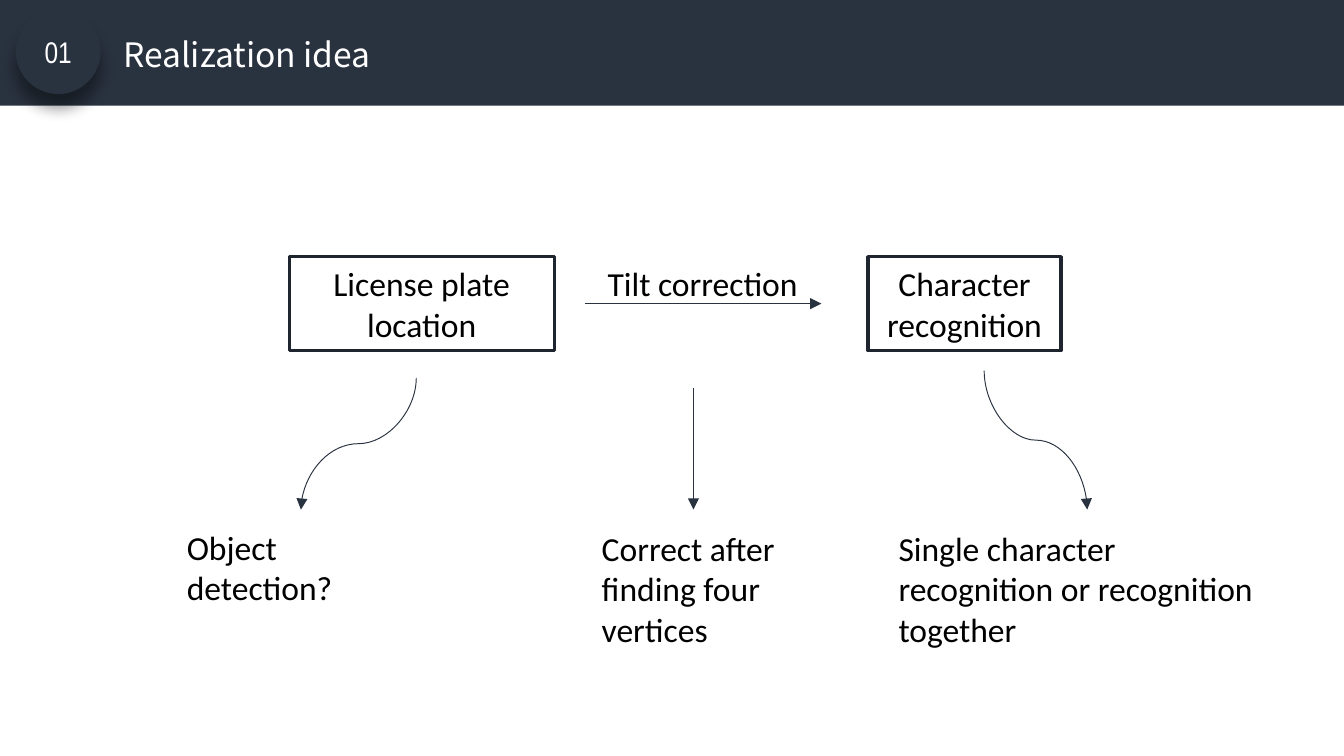
from pptx import Presentation
from pptx.dml.color import RGBColor
from pptx.enum.shapes import MSO_CONNECTOR as Connector, MSO_SHAPE as Shape
from pptx.enum.text import MSO_ANCHOR as Anchor, MSO_AUTO_SIZE as AutoSize, PP_ALIGN as Align
from pptx.oxml.ns import qn
from pptx.oxml.xmlchemy import OxmlElement
from pptx.util import Pt

NAVY = RGBColor(0x29, 0x32, 0x3F)
OUTLINE = RGBColor(0x1E, 0x25, 0x2F)
WHITE = RGBColor(0xFF, 0xFF, 0xFF)
BLACK = RGBColor(0x00, 0x00, 0x00)

BODY = {"name": "Calibri", "size": Pt(18)}
TITLE = {"name": "Noto Sans CJK SC", "size": Pt(18)}
NUMBER = {"name": "Arial Narrow", "size": Pt(16)}

STEP_TOP, STEP_HEIGHT = 137.5, 50.4
NOTE_TOP, ARROW_END = 279.3, 273


def add_element(parent, tag, **attributes):
    """Append an XML child with the given attributes and return it."""
    element = OxmlElement(tag)
    for name, value in attributes.items():
        element.set(name, str(value))
    parent.append(element)
    return element


def write_text(shape, text, font_format, color, align=Align.LEFT):
    """Write one formatted paragraph into a shape."""
    frame = shape.text_frame
    frame.word_wrap = True
    paragraph = frame.paragraphs[0]
    paragraph.text = text
    paragraph.alignment = align
    for name, value in font_format.items():
        setattr(paragraph.font, name, value)
    paragraph.font.color.rgb = color


def add_label(slide, text, left, top, width, height=28.8, font_format=BODY, color=BLACK):
    """Add a text box that grows with its wording."""
    box = slide.shapes.add_textbox(Pt(left), Pt(top), Pt(width), Pt(height))
    write_text(box, text, font_format, color)
    box.text_frame.auto_size = AutoSize.SHAPE_TO_FIT_TEXT


def add_filled(slide, kind, left, top, width, height):
    """Add a navy shape without outline or shadow."""
    shape = slide.shapes.add_shape(kind, Pt(left), Pt(top), Pt(width), Pt(height))
    shape.fill.solid()
    shape.fill.fore_color.rgb = NAVY
    shape.line.fill.background()
    shape.shadow.inherit = False
    return shape


def add_badge(slide, text):
    """Add the round section number with its soft drop shadow."""
    badge = add_filled(slide, Shape.OVAL, 8.5, 5, 45.4, 45.4)
    effects = badge.element.spPr.find(qn("a:effectLst"))
    shadow = add_element(effects, "a:outerShdw", blurRad=Pt(8), dist=Pt(8),
                         dir=90 * 60000, algn="t", rotWithShape=0)
    color = add_element(shadow, "a:srgbClr", val=BLACK)
    add_element(color, "a:alpha", val=40000)
    write_text(badge, text, NUMBER, WHITE, Align.CENTER)
    badge.text_frame.vertical_anchor = Anchor.MIDDLE


def add_step(slide, text, left, width):
    """Add an outlined process step."""
    step = slide.shapes.add_shape(Shape.RECTANGLE, Pt(left), Pt(STEP_TOP), Pt(width), Pt(STEP_HEIGHT))
    step.fill.background()
    step.line.color.rgb = OUTLINE
    step.line.width = Pt(1.75)
    step.shadow.inherit = False
    write_text(step, text, BODY, BLACK, Align.CENTER)
    step.text_frame.vertical_anchor = Anchor.MIDDLE


def add_arrow(slide, start, end, kind=Connector.STRAIGHT):
    """Add a thin connector with a triangular head at its end."""
    arrow = slide.shapes.add_connector(kind, *(Pt(value) for value in (*start, *end)))
    arrow.line.color.rgb = NAVY
    arrow.line.width = Pt(0.5)
    properties = arrow._element.spPr
    add_element(properties.find(qn("a:ln")), "a:tailEnd", type="triangle")
    add_element(properties, "a:effectLst")
    return arrow


def add_curved_arrow(slide, start, end):
    """Add an S-curve that leaves and arrives vertically, as a turned connector."""
    (start_x, start_y), (end_x, end_y) = start, end
    center_x, center_y = (start_x + end_x) / 2, (start_y + end_y) / 2
    turn = 1 if end_x < start_x else -1
    reach, rise = turn * (end_y - start_y) / 2, abs(end_x - start_x) / 2
    arrow = add_arrow(slide, (center_x - reach, center_y - rise),
                      (center_x + reach, center_y + rise), Connector.CURVE)
    arrow._element.spPr.find(qn("a:xfrm")).set("rot", str(turn * 90 % 360 * 60000))


def main():
    """Build the slide and save it."""
    presentation = Presentation()
    presentation.slide_width, presentation.slide_height = Pt(720), Pt(405)
    slide = presentation.slides.add_slide(presentation.slide_layouts[6])

    add_filled(slide, Shape.RECTANGLE, 0, 0, 720, 56.7)
    add_badge(slide, "01")
    add_label(slide, "Realization idea", 59, 14.4, 361.4, font_format=TITLE, color=WHITE)

    add_label(slide, "Tilt correction", 318.4, STEP_TOP, 152.6)
    add_step(slide, "License plate location", 154.9, 142)
    add_step(slide, "Character recognition", 465, 103.5)

    middle = STEP_TOP + STEP_HEIGHT / 2
    add_arrow(slide, (313.3, middle), (440, middle))
    add_curved_arrow(slide, (223, 202.4), (161.2, ARROW_END))
    add_arrow(slide, (371.5, 208), (371.5, ARROW_END))
    add_curved_arrow(slide, (527.2, 198.6), (582.4, ARROW_END))

    add_label(slide, "Object detection?", 93, 278.6, 105)
    add_label(slide, "Correct after finding four vertices", 315.3, NOTE_TOP, 125, 72.7)
    add_label(slide, "Single character recognition or recognition together", 474.3, NOTE_TOP, 216, 72.7)

    presentation.save("out.pptx")


if __name__ == "__main__":
    main()
